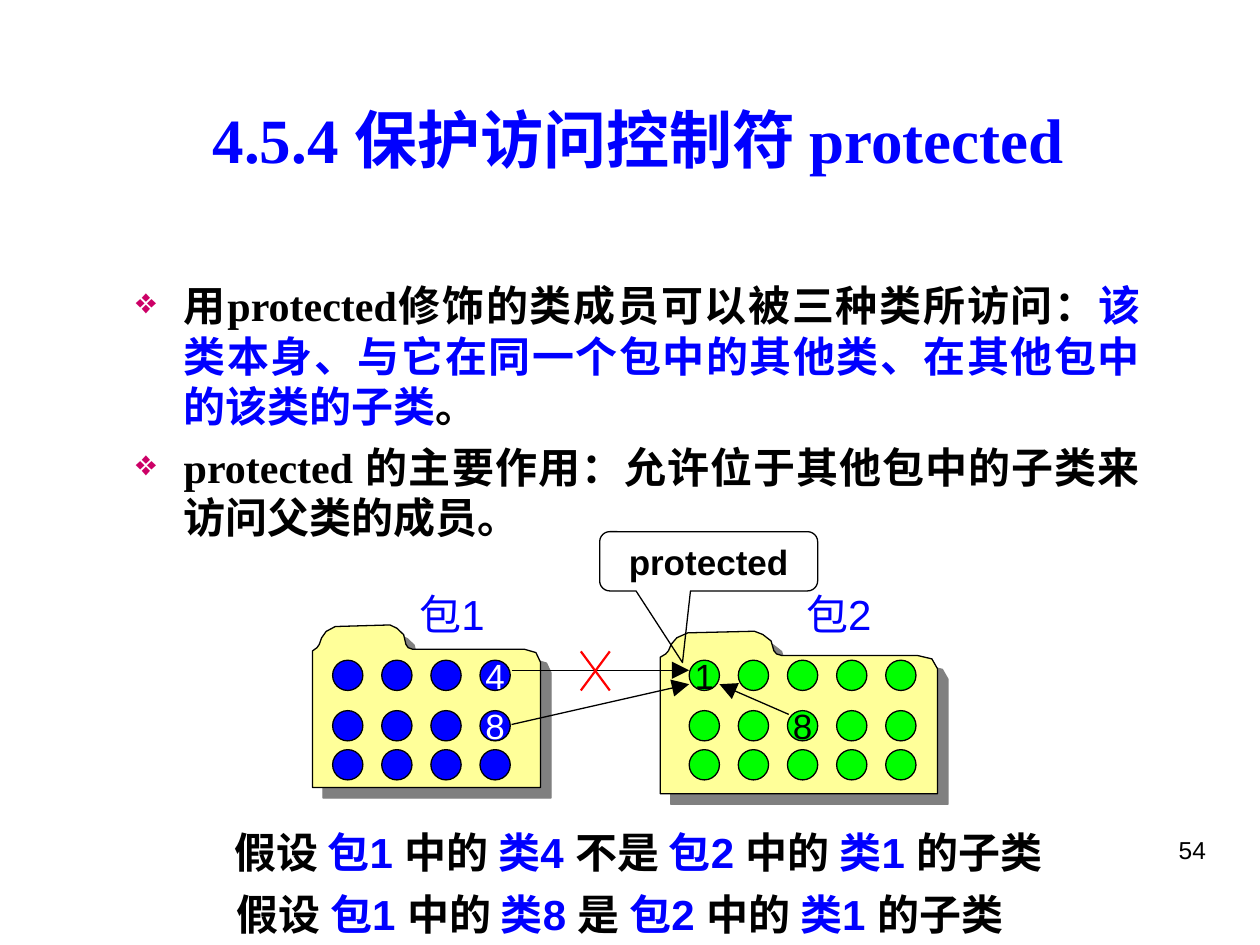
"""Build the slide on the protected access modifier."""
from lxml.etree import SubElement
from pptx import Presentation
from pptx.dml.color import RGBColor
from pptx.enum.shapes import MSO_CONNECTOR, MSO_SHAPE
from pptx.enum.text import MSO_ANCHOR, MSO_AUTO_SIZE, PP_ALIGN
from pptx.oxml.ns import qn
from pptx.util import Inches, Pt

HUES = {"black": "000000", "white": "FFFFFF", "blue": "0000FF", "green": "00FF00",
        "red": "FF0000", "cream": "FFFF99", "gray": "808080", "pink": "CC0066"}
TITLE = "4.5.4 保护访问控制符 protected"
POINTS = [
    "用protected修饰的类成员可以被三种类所访问：|该类本身、与它在同一个包中的其他类、在其他包中的该类的子类|。",
    "protected 的主要作用：允许位于其他包中的子类来访问父类的成员。",
]
CASES = [
    ("假设 |包1 |中的 |类4 |不是 |包2 |中的 |类1 |的子类", (1.76, 6.51, 7.28, 0.5)),
    ("假设 |包1 |中的 |类8 |是 |包2 |中的 |类1 |的子类", (1.78, 7, 6.92, 0.5)),
]
PACKS = [
    {"name": "包1", "tag": 3.23, "box": (2.48, 4.96, 1.81, 1.29), "left": 2.64, "cols": 4,
     "fill": "blue", "ink": "white", "marks": {(0, 3): "4", (1, 3): "8"}},
    {"name": "包2", "tag": 6.3, "box": (5.24, 5.01, 2.2, 1.29), "left": 5.47, "cols": 5,
     "fill": "green", "ink": "black", "marks": {(0, 0): "1", (1, 2): "8"}},
]
ROWS, STEP, DOT = (5.24, 5.64, 5.95), 0.39, 0.24
FOLDER = [(0.93, 0.15), (0.44, 0.15), (0.42, 0.14), (0.41, 0.12), (0.4, 0.06), (0.37, 0.02),
          (0.34, 0), (0.1, 0.01), (0.06, 0.04), (0.04, 0.08), (0.03, 0.12), (0.02, 0.14),
          (0, 0.16), (0, 1), (1, 1), (1, 0.23), (0.98, 0.17)]
LINES = [
    ((4.06, 5.32), (5.47, 5.32), "black", 0.75, True),
    ((6.26, 5.67), (5.71, 5.43), "black", 0.75, True),
    ((4.06, 5.75), (5.47, 5.43), "black", 0.75, True),
    ((4.61, 5.17), (4.84, 5.48), "red", 1.25, False),
    ((4.84, 5.17), (4.61, 5.48), "red", 1.25, False),
]


def hue(name):
    return RGBColor.from_string(HUES[name])


def inch(box):
    return [Inches(v) for v in box]


def write(para, text, size, color="black", bold=False, face="Arial", align=PP_ALIGN.LEFT):
    para.alignment = align
    font = para.font
    font.size, font.bold, font.name = Pt(size), bold, face
    font.color.rgb = hue(color)
    parts = text.split("|")
    for i, part in enumerate(parts):
        run = para.add_run()
        run.text = part
        if len(parts) > 1:
            run.font.color.rgb = hue(("black", "blue")[i % 2])


def add_text(slide, box, text, size, wrap=False, **look):
    frame = slide.shapes.add_textbox(*inch(box)).text_frame
    frame.word_wrap = wrap
    frame.auto_size = MSO_AUTO_SIZE.NONE if wrap else MSO_AUTO_SIZE.SHAPE_TO_FIT_TEXT
    write(frame.paragraphs[0], text, size, **look)


def paint(shape, fill):
    shape.shadow.inherit = False
    shape.line.color.rgb = hue("black")
    shape.line.width = Pt(0.75)
    if fill:
        shape.fill.solid()
        shape.fill.fore_color.rgb = hue(fill)
    else:
        shape.fill.background()


def add_bullet(para):
    props = para._p.get_or_add_pPr()
    props.set("marL", str(Inches(0.38)))
    props.set("indent", str(-Inches(0.38)))
    tint = SubElement(props, qn("a:buClr"))
    SubElement(tint, qn("a:srgbClr"), val=HUES["pink"])
    SubElement(props, qn("a:buSzPct"), val="85000")
    SubElement(props, qn("a:buChar"), char="❖")


def add_folder(slide, box):
    left, top, wide, high = box
    spots = [(Inches(left + x * wide), Inches(top + y * high)) for x, y in FOLDER]
    pen = slide.shapes.build_freeform(*spots[0])
    pen.add_line_segments(spots[1:], close=True)
    shape = pen.convert_to_shape()
    paint(shape, "cream")
    glow = shape.element.spPr.find(qn("a:effectLst"))
    shade = SubElement(glow, qn("a:outerShdw"), dist=str(Pt(8.5)), dir="2700000",
                       algn="ctr", rotWithShape="0")
    SubElement(shade, qn("a:srgbClr"), val=HUES["gray"])


def add_dots(slide, pack):
    for row, top in enumerate(ROWS):
        for col in range(pack["cols"]):
            box = pack["left"] + col * STEP, top, DOT, DOT
            dot = slide.shapes.add_shape(MSO_SHAPE.FLOWCHART_CONNECTOR, *inch(box))
            paint(dot, pack["fill"])
            mark = pack["marks"].get((row, col))
            if mark:
                dot.text_frame.word_wrap = False
                dot.text_frame.vertical_anchor = MSO_ANCHOR.MIDDLE
                write(dot.text_frame.paragraphs[0], mark, 20, pack["ink"],
                      align=PP_ALIGN.CENTER)


def add_line(slide, start, end, color, width, arrow):
    line = slide.shapes.add_connector(MSO_CONNECTOR.STRAIGHT, *inch(start + end))
    line.line.color.rgb = hue(color)
    line.line.width = Pt(width)
    props = line.element.spPr
    if arrow:
        SubElement(props.find(qn("a:ln")), qn("a:tailEnd"), type="triangle",
                   w="lg", len="lg")
    SubElement(props, qn("a:effectLst"))


def add_head(slide):
    title = slide.shapes.title
    title.left, title.top, title.width, title.height = inch((0.98, 0.75, 8.17, 0.8))
    frame = title.text_frame
    frame.vertical_anchor, frame.auto_size = MSO_ANCHOR.TOP, MSO_AUTO_SIZE.NONE
    write(frame.paragraphs[0], TITLE, 36, "blue", True, "Times New Roman", PP_ALIGN.CENTER)


def add_body(slide):
    frame = slide.shapes.add_textbox(*inch((0.98, 2.17, 8.17, 2.21))).text_frame
    frame.word_wrap = True
    for i, text in enumerate(POINTS):
        para = frame.add_paragraph() if i else frame.paragraphs[0]
        if i:
            para.space_before = Pt(6)
        add_bullet(para)
        write(para, text, 24, "black", True, "Times New Roman", PP_ALIGN.JUSTIFY)


def add_call(slide):
    call = slide.shapes.add_shape(MSO_SHAPE.ROUNDED_RECTANGULAR_CALLOUT,
                                  *inch((4.76, 4.22, 1.73, 0.47)))
    for i, value in enumerate((-0.12, 1.71, 0.17)):
        call.adjustments[i] = value
    paint(call, None)
    call.text_frame.vertical_anchor = MSO_ANCHOR.TOP
    write(call.text_frame.paragraphs[0], "protected", 20, bold=True, align=PP_ALIGN.CENTER)


def main():
    deck = Presentation()
    deck.slide_width, deck.slide_height = Inches(10), Inches(7.5)
    slide = deck.slides.add_slide(deck.slide_layouts[5])
    add_head(slide)
    add_body(slide)
    add_text(slide, (7.17, 6.58, 2.5, 0.52), "54", 14, wrap=True, align=PP_ALIGN.RIGHT)
    for pack in PACKS:
        add_folder(slide, pack["box"])
        add_dots(slide, pack)
        add_text(slide, (pack["tag"], 4.62, 0.8, 0.5), pack["name"], 24, color="blue")
    for item in LINES:
        add_line(slide, *item)
    add_call(slide)
    for text, box in CASES:
        add_text(slide, box, text, 24, bold=True)
    deck.save("out.pptx")


if __name__ == "__main__":
    main()
